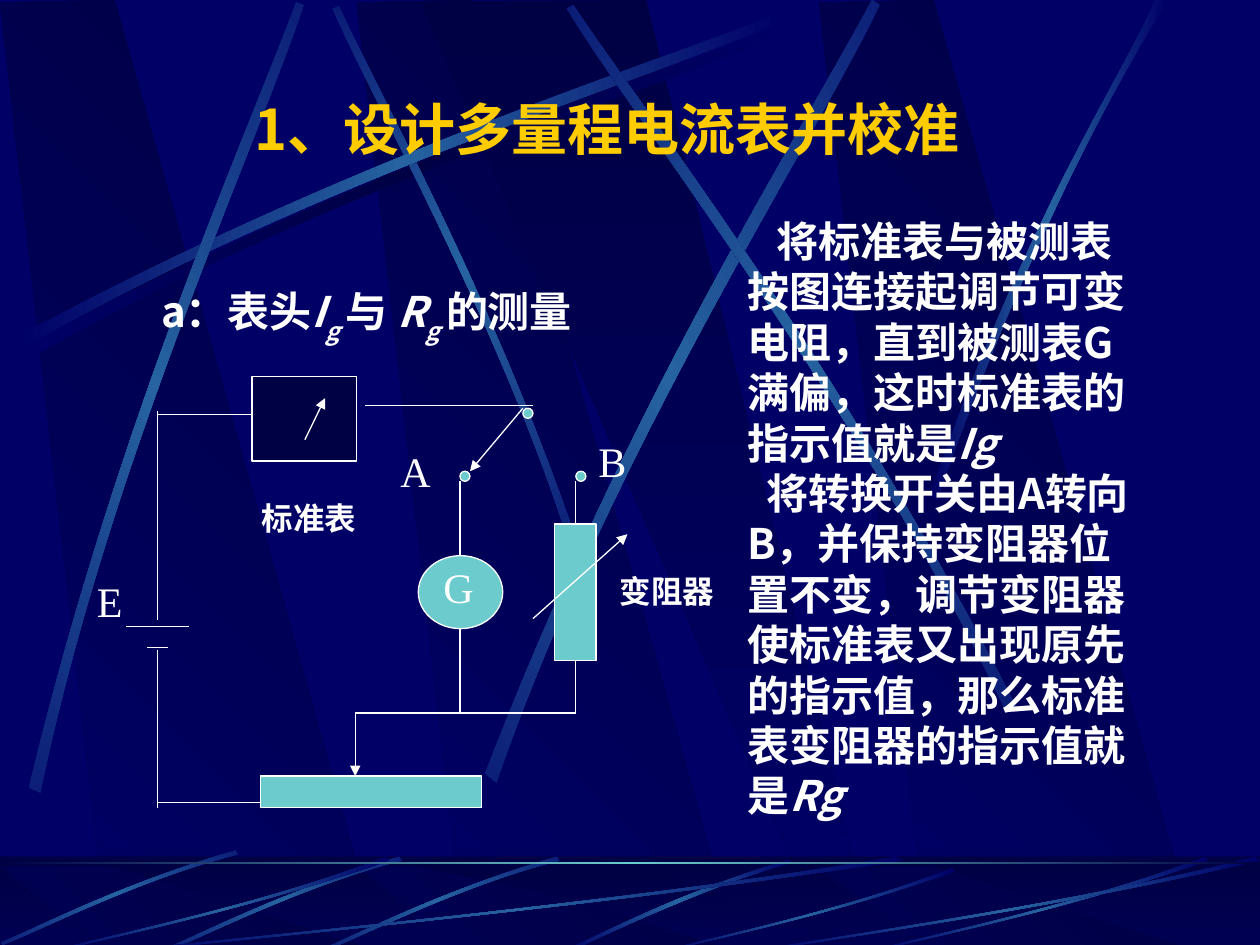
from math import cos, radians, sin
from lxml.etree import SubElement
from pptx import Presentation
from pptx.dml.color import RGBColor as RGB
from pptx.enum.shapes import MSO_CONNECTOR as LINK, MSO_SHAPE as KIND
from pptx.enum.text import MSO_ANCHOR as ANCHOR, PP_ALIGN as ALIGN
from pptx.oxml.ns import qn
from pptx.util import Inches, Pt

NAVY = RGB(0x00, 0x00, 0x66)
DARK = RGB(0x00, 0x00, 0x44)
BEAM = RGB(0x26, 0x63, 0xA0)
TEAL = RGB(0x6B, 0xCB, 0xCD)
GOLD = RGB(0xFF, 0xCC, 0x00)
WHITE = RGB(0xFF, 0xFF, 0xFF)
SANS, SERIF = "Noto Sans CJK SC", "Times New Roman"
COLS, ROWS = 100, 75  # grid cells are a tenth of an inch

# Backdrop outlines, in grid cells
PANEL = [(8.6, 75), (30.2, 75.2), (9.1, 0), (0, 0.2)]
WEDGE = [(33.3, 0.1), (65.8, 75.1), (69.4, 75.1), (51.3, 0)]
# Each beam has two curved edges of four control points
SWEEP = [(1.4, 26.7), (27.8, 12.5), (51.8, 5.1), (62, 1),
         (62.3, 1.6), (52.2, 6.1), (24.8, 14.3), (1.7, 27.7)]
BEAMS = [  # rotation, control points
    (45, [(46, 43.6), (39.1, 23.4), (30.2, 7.7), (26.9, 0.5),
          (26.4, 0.7), (29.5, 7.9), (39.8, 25.8), (45.4, 43.9)]),
    (0, SWEEP),
    (311.7, [(2.3, 62.5), (9.3, 33.4), (19.7, 10.5), (23.5, 0.2),
             (24.1, 0.4), (20.7, 10.8), (8.6, 36.8), (3.2, 62.9)]),
    (321.6, [(38.5, 61.4), (49.8, 32), (63.8, 10.2), (69.2, 0),
             (69.8, 0.4), (64.9, 10.8), (48.6, 35.5), (39.4, 62.1)]),
    (34.8, [(80.6, 56), (67, 29.3), (51.6, 9.5), (45.5, 0.4),
            (45, 0.7), (50.7, 10.1), (68.5, 32.5), (79.9, 56.6)]),
    (0, [(73.8, 39.3), (81.4, 17.3), (88.8, 6.6), (91.7, 0),
         (92.7, 0), (83.6, 14.5), (76.9, 32.2), (74.4, 39.7)]),
]
# Footer arcs
LONE = [(62.7, 68.2), (53.7, 70.9), (47.7, 74.2), (44.8, 75.4),
        (45.3, 75.5), (49, 73.7), (57.1, 70), (62.8, 68.5)]
SHORT = [(44.2, 68), (35.5, 70.5), (28.7, 74), (25.6, 75.3),
         (25.7, 75.5), (28.8, 74.3), (36.5, 70.3), (44.4, 68.3)]
SHIFTS = [(0, 0), (-12.5, 0), (-25.5, -0.5)]
ARC = [(1, .04), (.57, .57), (.17, .85), (.01, 1),  # within a unit box
       (0, .99), (.17, .83), (.62, .51), (.99, 0)]
ARCS = [(10, 68, 61.7, 7.5), (4.2, 68, 26.7, 7.5), (52.7, 68.9, 23.1, 6.6),
        (69.2, 68, 26.7, 7.5), (60, 68, 40, 7.5)]

# Circuit, in grid cells
WIRES = [
    (20, 32.9, 12.5, 32.9), (12.5, 32.6, 12.5, 49.2), (10, 49.7, 15, 49.7),
    (11.7, 51.4, 13.3, 51.4), (12.5, 51.6, 12.5, 64.1), (12.5, 63.7, 20.8, 63.7),
    (29, 32.2, 42.3, 32.2), (36.5, 38.2, 36.5, 44.1), (45.7, 38.2, 45.7, 41.6),
    (36.5, 49.9, 36.5, 56.6), (36.5, 56.6, 28.2, 56.6),
    (36.5, 56.6, 45.7, 56.6), (45.7, 56.6, 45.7, 52.4),
]
ARROWS = [(41.5, 32.4, 37.3, 37.4), (28.2, 56.6, 28.2, 61.6),
          (42.3, 49.1, 49.8, 42.4), (24.2, 34.9, 25.8, 31.6)]
PARTS = [  # kind, box, fill
    (KIND.RECTANGLE, (20, 29.9, 8.3, 6.7), DARK),
    (KIND.OVAL, (33.2, 44.1, 6.7, 5.8), TEAL),
    (KIND.RECTANGLE, (20.7, 61.6, 17.5, 2.5), TEAL),
    (KIND.RECTANGLE, (44, 41.6, 3.3, 10.8), TEAL),
]
NODES = [(41.5, 32.4), (45.7, 37.4), (36.5, 37.4)]
LABELS = [  # text, box, size, bold
    ("标准表", (19.8, 39.1, 9.5, 4), 18, True),
    ("变阻器", (48.2, 44.9, 15.8, 4), 18, True),
    ("E", (6.7, 45.2, 5, 5), 24, False), ("A", (30.8, 34.9, 4.8, 5), 24, False),
    ("B", (46.5, 34.1, 5.2, 5), 24, False), ("G", (34.2, 44.1, 5.2, 5), 24, False),
]


def cell(*nums):
    return [Inches(n / 10) for n in nums]


def blend(shape, stops, turn):
    """Fill with evenly spaced gradient stops and drop line and shadow."""
    grad = SubElement(shape.element.spPr, qn("a:gradFill"), rotWithShape="1")
    holder = SubElement(grad, qn("a:gsLst"))
    for i, color in enumerate(stops):
        stop = SubElement(holder, qn("a:gs"), pos=str(100000 * i // (len(stops) - 1)))
        SubElement(stop, qn("a:srgbClr"), val=str(color))
    SubElement(grad, qn("a:lin"), ang=str(turn * 60000), scaled="0")
    shape.line.fill.background()
    shape.shadow.inherit = False


def outline(shapes, dots, stops, turn):
    dots = [cell(*dot) for dot in dots]
    build = shapes.build_freeform(*dots[0])
    build.add_line_segments(dots[1:], close=True)
    shape = build.convert_to_shape()
    blend(shape, stops, turn)
    return shape


def bend(shape):
    """Turn the first and last three segments into cubic curves."""
    track = next(shape.element.iter(qn("a:path")))
    legs = track.findall(qn("a:lnTo"))
    for trio in (legs[:3], legs[4:]):
        curve = SubElement(track, qn("a:cubicBezTo"))
        trio[0].addprevious(curve)
        for leg in trio:
            curve.append(leg[0])
            track.remove(leg)


def beam(shapes, dots, turn=0, stops=(NAVY, BEAM, NAVY)):
    spin = complex(cos(radians(turn)), sin(radians(turn)))
    flat = [complex(*dot) / spin for dot in dots]
    shape = outline(shapes, [(p.real, p.imag) for p in flat], stops, 180)
    bend(shape)
    # Rotation is about the middle of the shape, so move that into place
    half = complex(shape.width, shape.height) / 2
    corner = (complex(shape.left, shape.top) + half) * spin - half
    shape.left, shape.top = round(corner.real), round(corner.imag)
    shape.rotation = turn


def block(shapes, kind, box, fill=None):
    shape = shapes.add_shape(kind, *cell(*box))
    shape.shadow.inherit = False
    if fill is not None:
        shape.fill.solid()
        shape.fill.fore_color.rgb = fill
        shape.line.color.rgb = WHITE
        shape.line.width = Pt(0.75)
    return shape


def panels(shapes, top, scale):
    def fit(dots, dx=0):
        return [(x + dx, top + y * scale) for x, y in dots]
    for dx in (28.3, 0, 65):
        outline(shapes, fit(PANEL, dx), (DARK, NAVY), 135)
    outline(shapes, fit(WEDGE), (DARK, NAVY), 90)


def wire(shapes, ends, arrow=False):
    link = shapes.add_connector(LINK.STRAIGHT, *cell(*ends))
    link.line.color.rgb = WHITE
    link.line.width = Pt(0.75)
    if arrow:
        SubElement(link.line._get_or_add_ln(), qn("a:tailEnd"), type="triangle")
    SubElement(link.element.spPr, qn("a:effectLst"))


def style(para, size, color=WHITE, bold=True, face=SANS):
    para.alignment = ALIGN.LEFT
    font = para.font
    font.size, font.bold, font.name = Pt(size), bold, face
    font.color.rgb = color
    SubElement(para._p.pPr.find(qn("a:defRPr")), qn("a:ea"), typeface=SANS)


def place(shape, box):
    shape.left, shape.top, shape.width, shape.height = cell(*box)
    frame = shape.text_frame
    frame.word_wrap = True
    frame.vertical_anchor = ANCHOR.TOP
    return frame


def write(para, parts):
    """Add runs; each part is text, italic flag and baseline shift."""
    for text, slant, base in parts:
        run = para.add_run()
        run.text = text
        if slant:
            run.font.italic = True
        if base:
            run.font._element.set("baseline", str(base * 1000))


def label(shapes, text, box, size, bold):
    para = place(shapes.add_textbox(0, 0, 0, 0), box).paragraphs[0]
    para.text = text
    style(para, size, bold=bold, face=SERIF)


def backdrop(shapes):
    panels(shapes, 0, 1)
    beam(shapes, [(x + 0.6, y + 0.8) for x, y in SWEEP], stops=(NAVY, DARK, NAVY))
    for turn, dots in BEAMS:
        beam(shapes, dots, turn)
    # Footer band
    blend(block(shapes, KIND.RECTANGLE, (0, 68, COLS, 7.5)), (DARK, NAVY), 90)
    panels(shapes, 68.8, 0.09)
    veil = block(shapes, KIND.RECTANGLE, (0, 67.9, COLS, 7.5), DARK)
    veil.line.fill.background()
    tint = veil.element.spPr.find(qn("a:solidFill"))[0]
    SubElement(tint, qn("a:alpha"), val="50000")
    beam(shapes, LONE)
    for dx, dy in SHIFTS:
        beam(shapes, [(x + dx, y + dy) for x, y in SHORT], 314.9)
    for left, top, wide, high in ARCS:
        beam(shapes, [(left + x * wide, top + y * high) for x, y in ARC])
    blend(block(shapes, KIND.RECTANGLE, (0, 68.4, COLS, 0.2)), (DARK, TEAL, DARK), 180)


def circuit(shapes):
    for ends in WIRES:
        wire(shapes, ends)
    for part in PARTS:
        block(shapes, *part)
    for x, y in NODES:
        block(shapes, KIND.OVAL, (x, y, 0.8, 0.8), TEAL)
    for ends in ARROWS:
        wire(shapes, ends, arrow=True)
    for item in LABELS:
        label(shapes, *item)


def words(shapes, title, body):
    head = place(title, (19.2, 7, 59.2, 7.4)).paragraphs[0]
    head.text = "1、设计多量程电流表并校准"
    style(head, 32, GOLD)

    sub = place(shapes.add_textbox(0, 0, 0, 0), (11.8, 22.2, 40, 6)).paragraphs[0]
    write(sub, [("a：表头", False, 0), ("I", True, 0), ("g ", True, -30),
                ("与 ", False, 0), ("R", True, 0), ("g ", True, -30),
                ("的测量", False, 0)])
    style(sub, 24)

    frame = place(body, (58.3, 16.6, 34.2, 50))
    steps = [
        (2.3, "将标准表与被测表按图连接起调节可变电阻，直到被测表G满偏，"
              "这时标准表的指示值就是", "Ig"),
        (1.5, "将转换开关由A转向B，并保持变阻器位置不变，调节变阻器使标准表"
              "又出现原先的指示值，那么标准表变阻器的指示值就是", "Rg"),
    ]
    for i, (dent, text, sign) in enumerate(steps):
        para = frame.add_paragraph() if i else frame.paragraphs[0]
        write(para, [(text, False, 0), (sign, True, 0)])
        para.line_spacing, para.space_before = Pt(28.8), Pt(0)
        props = para._p.get_or_add_pPr()
        props.set("marL", "0")
        props.set("indent", str(cell(dent)[0]))
        SubElement(props, qn("a:buNone"))
        style(para, 24)


def main():
    deck = Presentation()
    deck.slide_width, deck.slide_height = cell(COLS, ROWS)
    slide = deck.slides.add_slide(deck.slide_layouts[1])
    slide.background.fill.solid()
    slide.background.fill.fore_color.rgb = NAVY
    shapes = slide.shapes
    title, body = shapes.placeholders
    # The backdrop belongs to the master, behind the content
    backdrop(shapes)
    for shape in list(shapes)[2:]:
        deck.slide_master.shapes.element.append(shape.element)
    circuit(shapes)
    words(shapes, title, body)
    deck.save("out.pptx")


if __name__ == "__main__":
    main()
